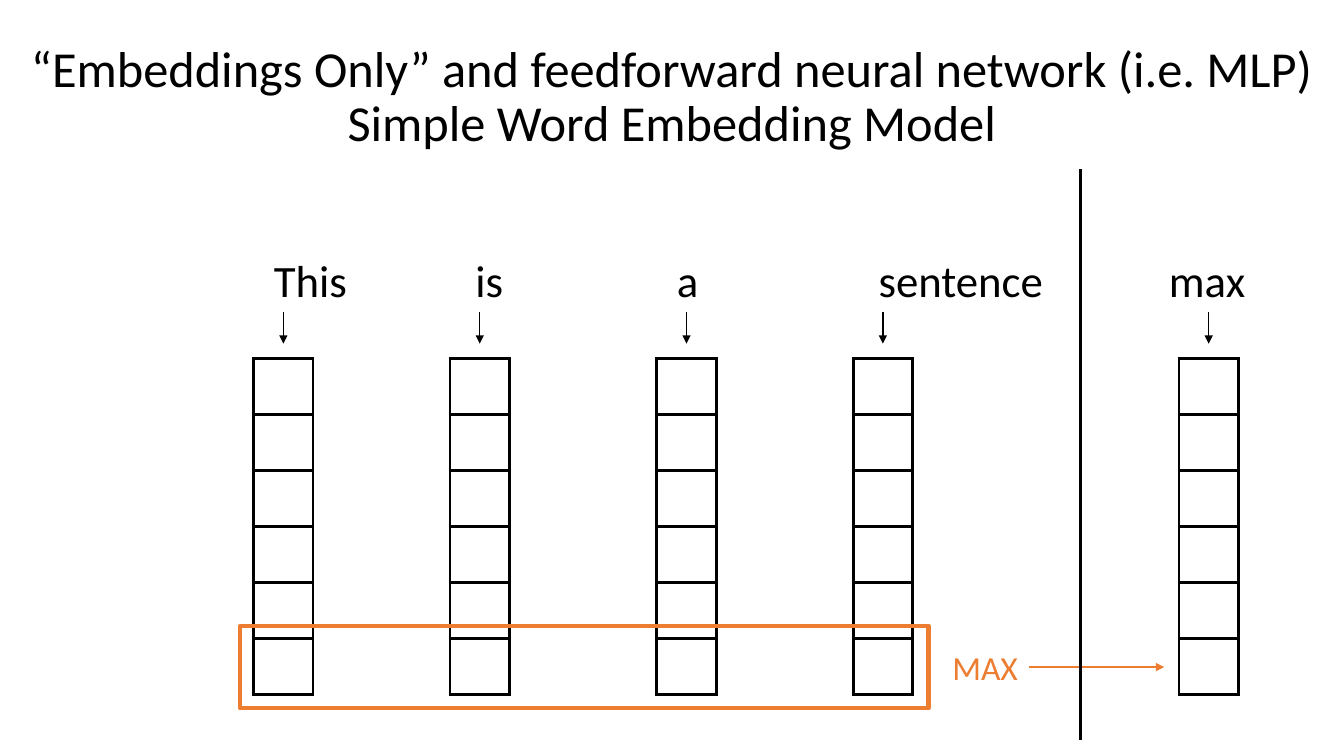
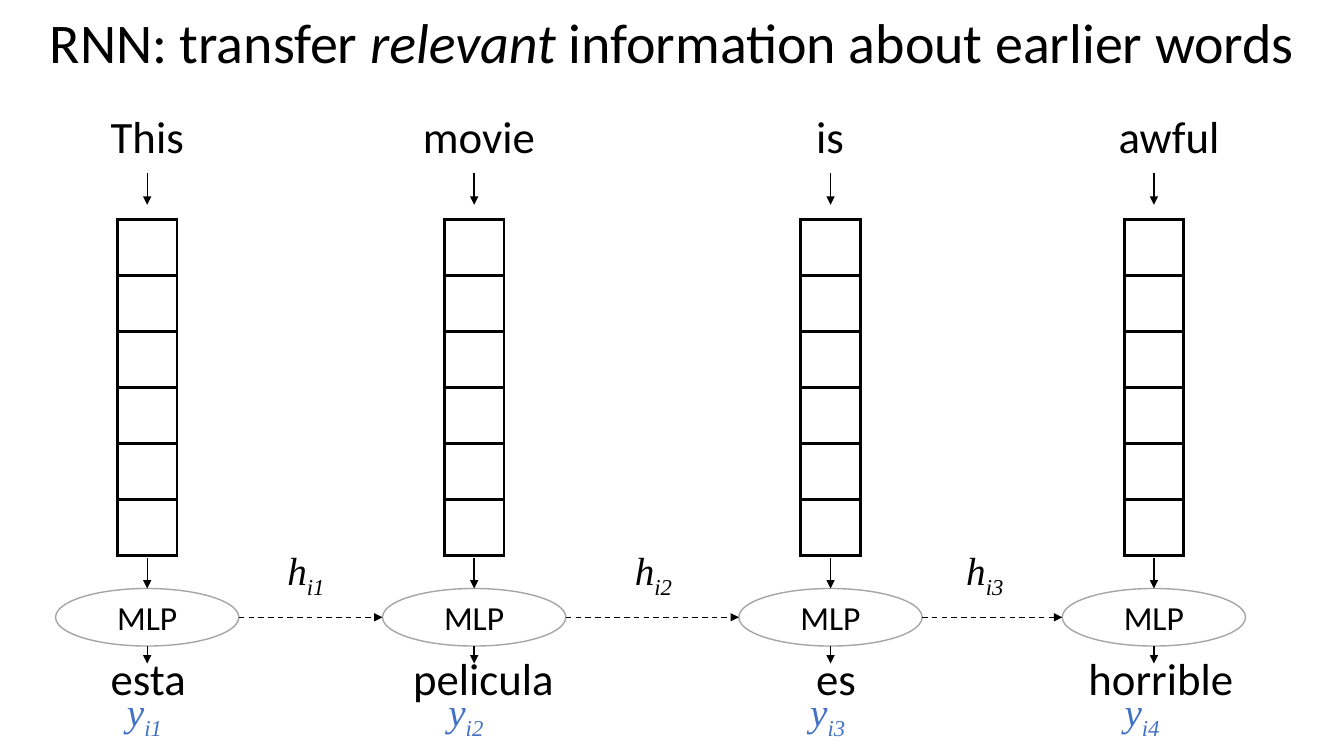
from lxml.etree import SubElement
from pptx import Presentation
from pptx.dml.color import RGBColor
from pptx.enum.dml import MSO_LINE
from pptx.enum.shapes import MSO_CONNECTOR, MSO_SHAPE
from pptx.enum.text import MSO_ANCHOR, MSO_AUTO_SIZE, PP_ALIGN
from pptx.oxml.ns import qn
from pptx.util import Cm, Pt

SLIDE_WIDTH, SLIDE_HEIGHT = 33.87, 19.05
BLACK, WHITE, ORANGE, BLUE, GRAY = "000000", "FFFFFF", "ED7D31", "4472C4", "A5A5A5"
BODY_FONT, MATH_FONT = "Calibri", "Times New Roman"
CELL_WIDTH, CELL_HEIGHT, CELL_COUNT = 1.5, 1.41, 6


def color(hex_code):
    return RGBColor.from_string(hex_code)


def add_run(paragraph, text, size=32, ink=BLACK, font=BODY_FONT, italic=False, subscript=False):
    run = paragraph.add_run()
    run.text = text
    run.font.size = Pt(size)
    run.font.name = font
    run.font.italic = italic
    run.font.color.rgb = color(ink)
    if subscript:
        run._r.get_or_add_rPr().set("baseline", "-25000")


def add_label(slide, text, left, top, width=5, height=1.63, subscript="", **style):
    label = slide.shapes.add_textbox(Cm(left), Cm(top), Cm(width), Cm(height))
    label.text_frame.word_wrap = True
    paragraph = label.text_frame.paragraphs[0]
    add_run(paragraph, text, **style)
    if subscript:
        add_run(paragraph, subscript, subscript=True, **style)


def add_symbol(slide, letter, index, left, top, ink=BLACK):
    add_label(slide, letter, left, top, width=1.75, height=1.45, subscript=f"i{index}",
              size=28, ink=ink, font=MATH_FONT, italic=True)


def add_title(slide, parts, top, height, size):
    title = slide.shapes.title
    title.left, title.top = Cm(0), Cm(top)
    title.width, title.height = Cm(SLIDE_WIDTH), Cm(height)
    frame = title.text_frame
    frame.auto_size = MSO_AUTO_SIZE.NONE
    frame.vertical_anchor = MSO_ANCHOR.MIDDLE
    paragraph = frame.paragraphs[0]
    paragraph.alignment = PP_ALIGN.CENTER
    paragraph.line_spacing = 0.9
    for number, line in enumerate(parts):
        if number:
            paragraph.add_line_break()
        for text, italic in line:
            add_run(paragraph, text, size=size, italic=italic)


def add_line(slide, start, end, ink=BLACK, weight=1, arrow=True, dashed=False):
    x1, y1, x2, y2 = (Cm(value) for value in (*start, *end))
    connector = slide.shapes.add_connector(MSO_CONNECTOR.STRAIGHT, x1, y1, x2, y2)
    connector.line.color.rgb = color(ink)
    connector.line.width = Pt(weight)
    if dashed:
        connector.line.dash_style = MSO_LINE.DASH
    properties = connector._element.spPr
    if arrow:
        SubElement(properties.find(qn("a:ln")), qn("a:tailEnd"), type="triangle")
    SubElement(properties, qn("a:effectLst"))


def add_outline(slide, preset, left, top, width, height, ink, weight, fill=None):
    outline = slide.shapes.add_shape(preset, Cm(left), Cm(top), Cm(width), Cm(height))
    outline.shadow.inherit = False
    outline.line.color.rgb = color(ink)
    outline.line.width = Pt(weight)
    if fill:
        outline.fill.solid()
        outline.fill.fore_color.rgb = color(fill)
    else:
        outline.fill.background()
    return outline


def add_cell_borders(cell):
    properties = cell._tc.get_or_add_tcPr()
    for side in ("lnL", "lnR", "lnT", "lnB"):
        border = SubElement(properties, qn(f"a:{side}"), w=str(Pt(2.25)))
        SubElement(SubElement(border, qn("a:solidFill")), qn("a:srgbClr"), val=BLACK)


def add_embedding(slide, center, top):
    vector = slide.shapes.add_table(
        CELL_COUNT, 1, Cm(center - CELL_WIDTH / 2), Cm(top),
        Cm(CELL_WIDTH), Cm(CELL_HEIGHT * CELL_COUNT)).table
    vector.first_row = vector.horz_banding = False
    for row in vector.rows:
        row.height = Cm(CELL_HEIGHT)
        add_cell_borders(row.cells[0])
        row.cells[0].fill.background()
    add_line(slide, (center, top - 1.17), (center, top - 0.38))


def add_mlp(slide, center, top, width, height):
    mlp = add_outline(slide, MSO_SHAPE.OVAL, center - width / 2, top, width, height,
                      GRAY, 1, fill=WHITE)
    mlp.text_frame.vertical_anchor = MSO_ANCHOR.MIDDLE
    paragraph = mlp.text_frame.paragraphs[0]
    paragraph.alignment = PP_ALIGN.CENTER
    add_run(paragraph, "MLP", size=24)
    add_line(slide, (center, top - 0.78), (center, top))
    add_line(slide, (center, top + height), (center, top + height + 0.44))


def build_embeddings_slide(slide):
    add_title(slide, [
        [("“Embeddings Only” and feedforward neural network (i.e. MLP)", False)],
        [("Simple Word Embedding Model", False)],
    ], top=0.89, height=3.18, size=36)
    words_top = 6.25
    for position, word in enumerate(("This", "is", "a", "sentence")):
        add_label(slide, word, 6.65 + 5.08 * position, words_top)
    add_label(slide, "max", 29.21, words_top, width=2.8)
    for center in (7.14, 12.09, 17.3, 22.25, 30.46):
        add_embedding(slide, center, top=9.04)
    add_outline(slide, MSO_SHAPE.RECTANGLE, 6.05, 15.77, 17.35, 2.08, ORANGE, 3)
    add_label(slide, "MAX", 23.75, 16.18, width=2.4, height=1.27, size=24, ink=ORANGE)
    add_line(slide, (25.93, 16.81), (29.34, 16.81), ink=ORANGE, weight=1.5)
    add_line(slide, (27.23, 4.27), (27.23, 18.64), weight=1.5, arrow=False)


def build_rnn_slide(slide):
    add_title(slide, [[("RNN: transfer ", False), ("relevant", True),
                       (" information about earlier words", False)]],
              top=0, height=2.29, size=40)
    steps = (
        (3.71, "This", 2.54, "esta", 2.54, 2.95),
        (11.95, "movie", 10.41, "pelicula", 10.16, 11.05),
        (20.93, "is", 20.32, "es", 20.32, 20.17),
        (29.08, "awful", 27.94, "horrible", 27.18, 28.09),
    )
    mlp_top, mlp_width, mlp_height = 14.83, 4.62, 1.45
    for index, (center, word, word_left, output, output_left, y_left) in enumerate(steps, 1):
        add_label(slide, word, word_left, 2.62)
        add_embedding(slide, center, top=5.54)
        add_symbol(slide, "y", index, y_left, 17.2, ink=BLUE)
        add_label(slide, output, output_left, 16.26)
        add_mlp(slide, center, mlp_top, mlp_width, mlp_height)

    centers = [step[0] for step in steps]
    middle = mlp_top + mlp_height / 2
    hidden_lefts = (6.99, 15.75, 24.1)
    for index, (source, target, left) in enumerate(zip(centers, centers[1:], hidden_lefts), 1):
        add_line(slide, (source + mlp_width / 2, middle), (target - mlp_width / 2, middle),
                 dashed=True)
        add_symbol(slide, "h", index, left, 13.65)


def main():
    deck = Presentation()
    deck.slide_width, deck.slide_height = Cm(SLIDE_WIDTH), Cm(SLIDE_HEIGHT)
    title_only = deck.slide_layouts[5]
    for build in (build_embeddings_slide, build_rnn_slide):
        build(deck.slides.add_slide(title_only))
    deck.save("out.pptx")


if __name__ == "__main__":
    main()
